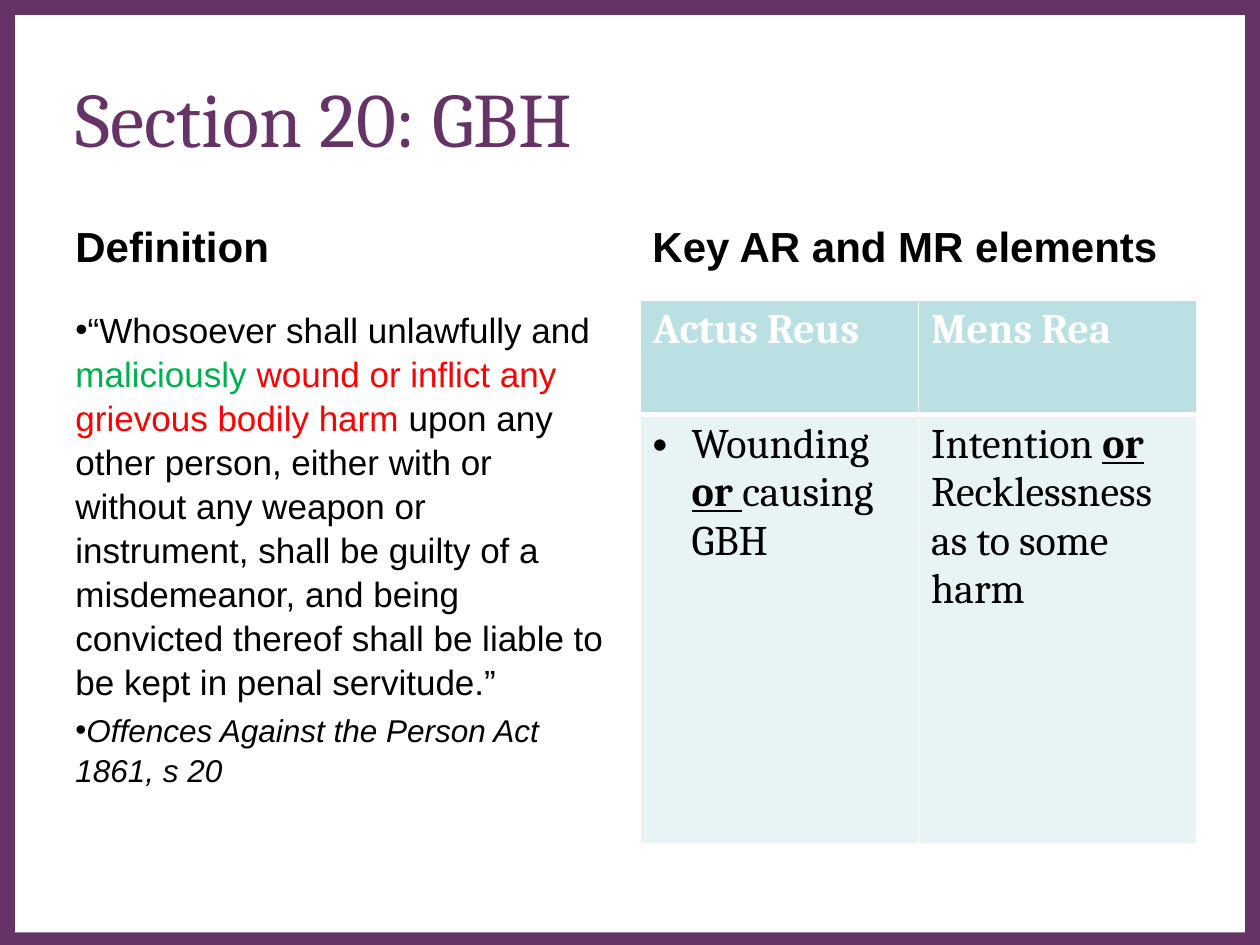
from lxml import etree
from pptx import Presentation
from pptx.dml.color import RGBColor
from pptx.enum.shapes import MSO_SHAPE
from pptx.enum.text import MSO_ANCHOR
from pptx.oxml.ns import qn
from pptx.util import Inches, Pt

RECTANGLE = MSO_SHAPE.RECTANGLE
TOP = MSO_ANCHOR.TOP
MIDDLE = MSO_ANCHOR.MIDDLE

PURPLE, WHITE, BLACK = "663366", "FFFFFF", "000000"
GREEN, RED = "00B050", "FF0000"
HEADER_FILL, BODY_FILL = "BBE0E3", "E7F3F4"

LEFT, RIGHT = 0.5, 5.08
COLUMN_WIDTH = 4.42
HEADING_TOP, HEADING_HEIGHT = 1.68, 0.7
CONTENT_TOP = HEADING_TOP + HEADING_HEIGHT
CONTENT_HEIGHT = 4.32


def color(value):
    return RGBColor.from_string(value)


class SlideBuilder:
    heading_font = "Cambria"
    body_font = "Arial"

    def __init__(self, slide):
        self.slide = slide

    def rectangle(self, left, top, width, height, fill):
        shape = self.slide.shapes.add_shape(
            RECTANGLE, Inches(left), Inches(top), Inches(width), Inches(height))
        shape.shadow.inherit = False
        shape.fill.solid()
        shape.fill.fore_color.rgb = color(fill)
        shape.line.fill.background()

    def bullet(self, paragraph, indent=0):
        properties = paragraph._p.get_or_add_pPr()
        properties.set("marL", str(Inches(indent)))
        properties.set("indent", str(-Inches(indent)))
        font = etree.SubElement(properties, qn("a:buFont"))
        font.set("typeface", self.body_font)
        etree.SubElement(properties, qn("a:buChar")).set("char", "•")

    def runs(self, paragraph, parts, font, size, fill):
        for text, style in parts:
            run = paragraph.add_run()
            run.text = text
            run.font.name = font
            run.font.size = Pt(size)
            run.font.color.rgb = color(style.get("color", fill))
            run.font.bold = style.get("bold", False)
            run.font.italic = style.get("italic", False)
            run.font.underline = style.get("underline", False)

    def text_box(self, left, top, width, height, anchor=TOP):
        shape = self.slide.shapes.add_textbox(
            Inches(left), Inches(top), Inches(width), Inches(height))
        shape.text_frame.word_wrap = True
        shape.text_frame.vertical_anchor = anchor
        return shape.text_frame

    def title(self, text):
        frame = self.text_box(LEFT, 0.3, 9, 1.25, MIDDLE)
        self.runs(frame.paragraphs[0], [(text, {})], self.heading_font, 44, PURPLE)

    def heading(self, left, text):
        frame = self.text_box(left, HEADING_TOP, COLUMN_WIDTH, HEADING_HEIGHT)
        paragraph = frame.paragraphs[0]
        paragraph.line_spacing = 1.05
        self.runs(paragraph, [(text, {"bold": True})], self.body_font, 24, BLACK)

    def bullets(self, left, items):
        frame = self.text_box(left, CONTENT_TOP, COLUMN_WIDTH, CONTENT_HEIGHT)
        for index, (size, parts) in enumerate(items):
            paragraph = frame.add_paragraph() if index else frame.paragraphs[0]
            paragraph.line_spacing = 1.05
            paragraph.space_before = Pt(size * 0.2 if index else 0)
            self.bullet(paragraph)
            self.runs(paragraph, parts, self.body_font, size, BLACK)

    def borders(self, cell, widths):
        properties = cell._tc.get_or_add_tcPr()
        for index, (side, width) in enumerate(widths.items()):
            line = etree.Element(qn(f"a:ln{side}"), w=str(Pt(width)))
            fill = etree.SubElement(line, qn("a:solidFill"))
            etree.SubElement(fill, qn("a:srgbClr")).set("val", WHITE)
            properties.insert(index, line)

    def table(self, left, row_heights, rows):
        column_count = len(rows[0])
        table = self.slide.shapes.add_table(
            len(rows), column_count, Inches(left), Inches(CONTENT_TOP),
            Inches(COLUMN_WIDTH), Inches(CONTENT_HEIGHT)).table
        for column in table.columns:
            column.width = Inches(COLUMN_WIDTH / column_count)
        for row_index, cells in enumerate(rows):
            table.rows[row_index].height = Inches(row_heights[row_index])
            is_header = row_index == 0
            for column_index, (bulleted, paragraphs) in enumerate(cells):
                cell = table.cell(row_index, column_index)
                cell.fill.solid()
                cell.fill.fore_color.rgb = color(HEADER_FILL if is_header else BODY_FILL)
                self.borders(cell, {"L": 1, "R": 1, "T": 1 if is_header else 3,
                                    "B": 3 if is_header else 1})
                frame = cell.text_frame
                for index, parts in enumerate(paragraphs):
                    paragraph = frame.add_paragraph() if index else frame.paragraphs[0]
                    if bulleted:
                        self.bullet(paragraph, 0.31)
                    self.runs(paragraph, parts, self.heading_font, 24,
                              WHITE if is_header else BLACK)


def main():
    presentation = Presentation()
    presentation.slide_width = Inches(10)
    presentation.slide_height = Inches(7.5)
    builder = SlideBuilder(presentation.slides.add_slide(presentation.slide_layouts[6]))

    builder.rectangle(0, 0, 10, 7.52, PURPLE)
    builder.rectangle(0.12, 0.12, 9.76, 7.28, WHITE)
    builder.title("Section 20: GBH")
    builder.heading(LEFT, "Definition")
    builder.bullets(LEFT, [
        (20, [
            ("“Whosoever shall unlawfully and ", {}),
            ("maliciously ", {"color": GREEN}),
            ("wound or inflict any grievous bodily harm ", {"color": RED}),
            ("upon any other person, either with or without any weapon or "
             "instrument, shall be guilty of a misdemeanor, and being convicted "
             "thereof shall be liable to be kept in penal servitude.”", {}),
        ]),
        (18, [("Offences Against the Person Act 1861, s 20", {"italic": True})]),
    ])
    builder.heading(RIGHT, "Key AR and MR elements")

    bold = {"bold": True}
    emphasis = {"bold": True, "underline": True}
    builder.table(RIGHT, [0.91, 3.41], [
        [(False, [[("Actus Reus", bold)]]), (False, [[("Mens Rea", bold)]])],
        [
            (True, [[("Wounding ", {}), ("or ", emphasis), ("causing GBH", {})]]),
            (False, [[("Intention ", {}), ("or", emphasis)],
                     [("Recklessness as to some harm", {})]]),
        ],
    ])
    presentation.save("out.pptx")


if __name__ == "__main__":
    main()
